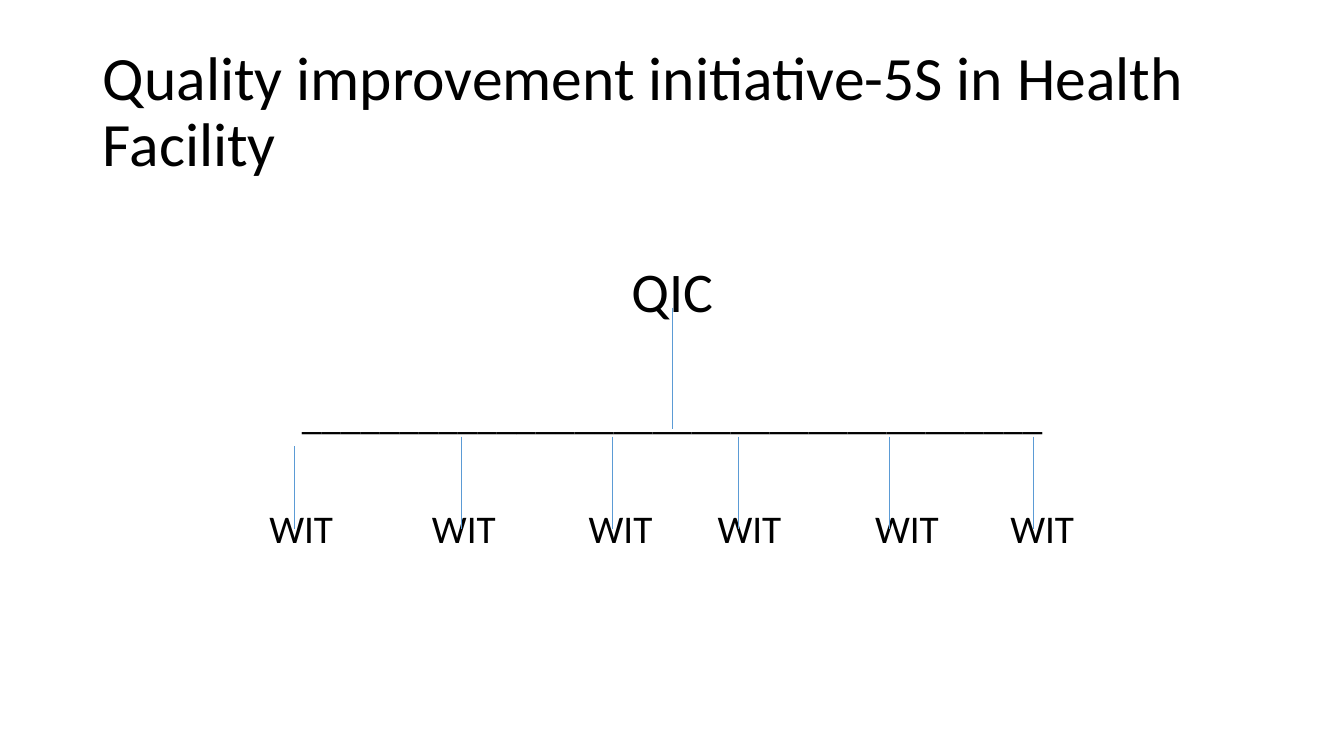
import pptx
import pptx.dml.color
import pptx.enum.shapes
import pptx.enum.text
import pptx.oxml.ns
import pptx.util
from lxml import etree

Cm = pptx.util.Cm
Pt = pptx.util.Pt
Align = pptx.enum.text.PP_ALIGN
Anchor = pptx.enum.text.MSO_ANCHOR

BLACK = "000000"
BLUE = "5B9BD5"
MARGIN = 2.34
CONTENT_WIDTH = 29.21
BRANCH_TOP, BRANCH_BOTTOM = 11, 13.34
# Line position and label tab stop of each team, in centimetres
TEAMS = [(7.42, 4.2), (11.63, 8.3), (15.44, 12.25),
         (18.62, 15.5), (22.43, 19.47), (26.04, 22.88)]


def color(value):
    return pptx.dml.color.RGBColor.from_string(value)


def prepare_frame(frame, anchor):
    frame.word_wrap = True
    frame.auto_size = pptx.enum.text.MSO_AUTO_SIZE.NONE
    frame.vertical_anchor = anchor


def add_tab_stops(paragraph, stops):
    properties = paragraph._p.get_or_add_pPr()
    tab_list = etree.SubElement(properties, pptx.oxml.ns.qn("a:tabLst"))
    for stop in stops:
        tab = etree.SubElement(tab_list, pptx.oxml.ns.qn("a:tab"))
        tab.set("pos", str(int(Cm(stop))))
        tab.set("algn", "l")


def fill_paragraph(paragraph, text, size, alignment, space_before=0):
    paragraph.alignment = alignment
    paragraph.line_spacing = 0.9
    paragraph.space_before = Pt(space_before)
    run = paragraph.add_run()
    run.text = text
    run.font.name = "Calibri"
    run.font.size = Pt(size)
    run.font.color.rgb = color(BLACK)


def add_title(slide, text):
    title = slide.shapes.title
    title.left, title.top = Cm(MARGIN), Cm(1.02)
    title.width, title.height = Cm(CONTENT_WIDTH), Cm(3.68)
    prepare_frame(title.text_frame, Anchor.MIDDLE)
    fill_paragraph(title.text_frame.paragraphs[0], text, 44, Align.LEFT)


def add_organisation_text(slide):
    box = slide.shapes.add_textbox(Cm(MARGIN), Cm(6.53), Cm(CONTENT_WIDTH), Cm(10.6))
    frame = box.text_frame
    prepare_frame(frame, Anchor.TOP)
    fill_paragraph(frame.paragraphs[0], "QIC", 40, Align.CENTER)
    fill_paragraph(frame.add_paragraph(), "_" * 38, 28, Align.CENTER, 51)
    team_row = frame.add_paragraph()
    add_tab_stops(team_row, [stop for _, stop in TEAMS])
    fill_paragraph(team_row, "\tWIT" * len(TEAMS), 28, Align.LEFT, 51)


def add_vertical_line(slide, x, top, bottom):
    line = slide.shapes.add_connector(
        pptx.enum.shapes.MSO_CONNECTOR.STRAIGHT, Cm(x), Cm(top), Cm(x), Cm(bottom))
    line.line.color.rgb = color(BLUE)
    line.line.width = Pt(0.5)
    etree.SubElement(line._element.spPr, pptx.oxml.ns.qn("a:effectLst"))


def main():
    presentation = pptx.Presentation()
    presentation.slide_width = Cm(33.88)
    presentation.slide_height = Cm(19.05)
    slide = presentation.slides.add_slide(
        presentation.slide_layouts.get_by_name("Title Only"))

    # Title and labels
    add_title(slide, "Quality improvement initiative-5S in Health Facility")
    add_organisation_text(slide)

    # Stem from the committee, then one branch per team
    add_vertical_line(slide, 16.94, 7.75, 10.8)
    for index, (x, _) in enumerate(TEAMS):
        top = BRANCH_TOP + 0.25 if index == 0 else BRANCH_TOP
        add_vertical_line(slide, x, top, BRANCH_BOTTOM)

    presentation.save("out.pptx")


if __name__ == "__main__":
    main()
